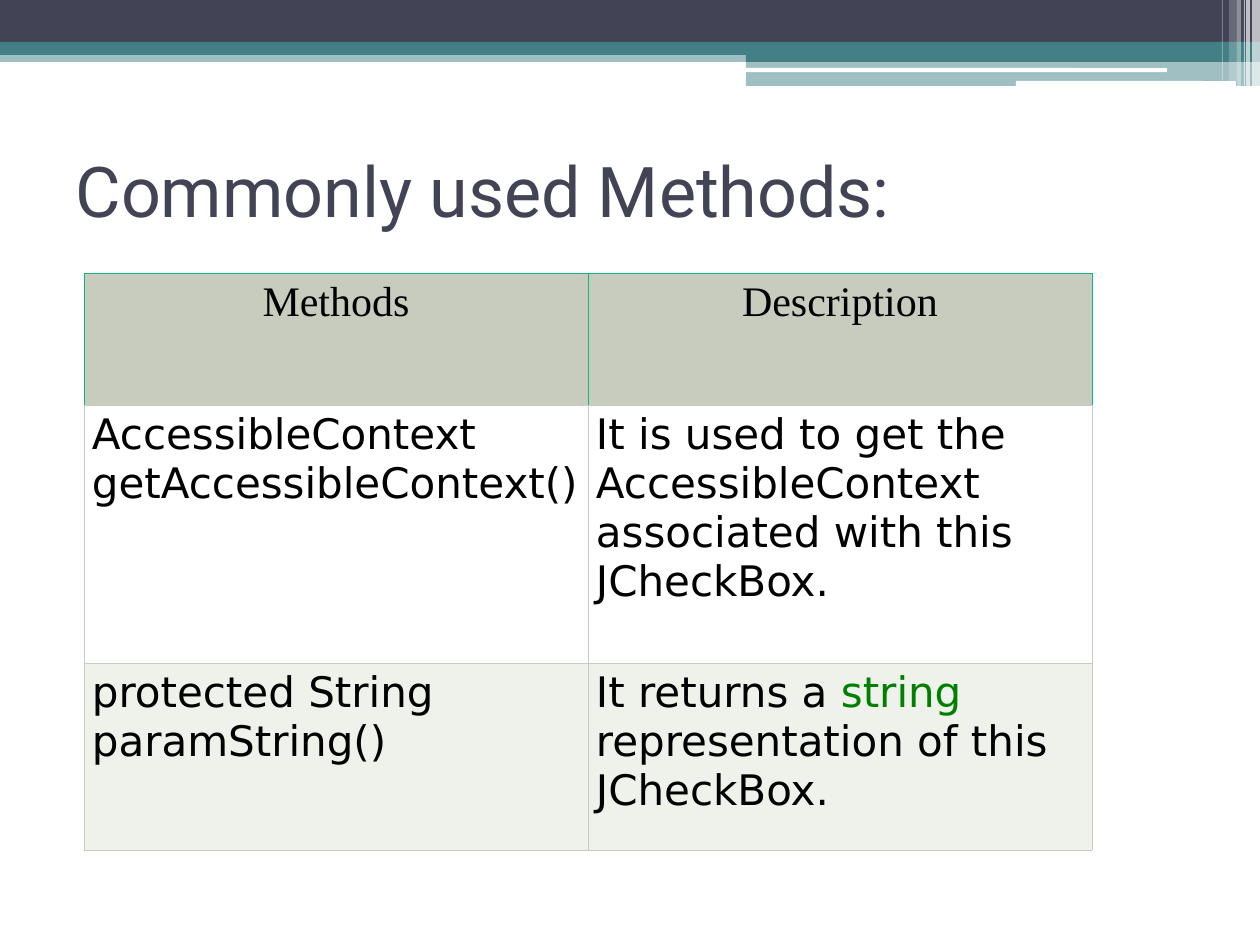
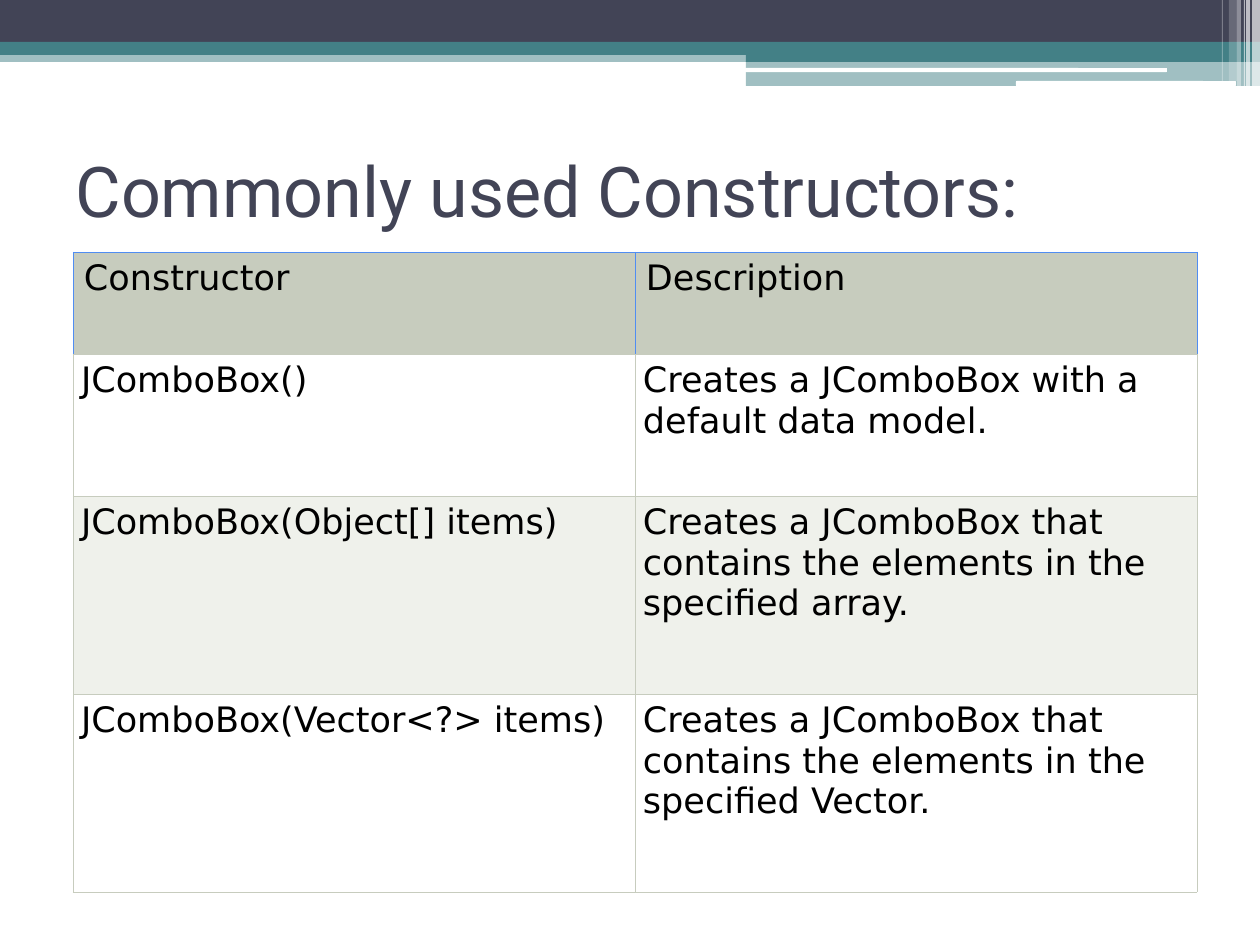
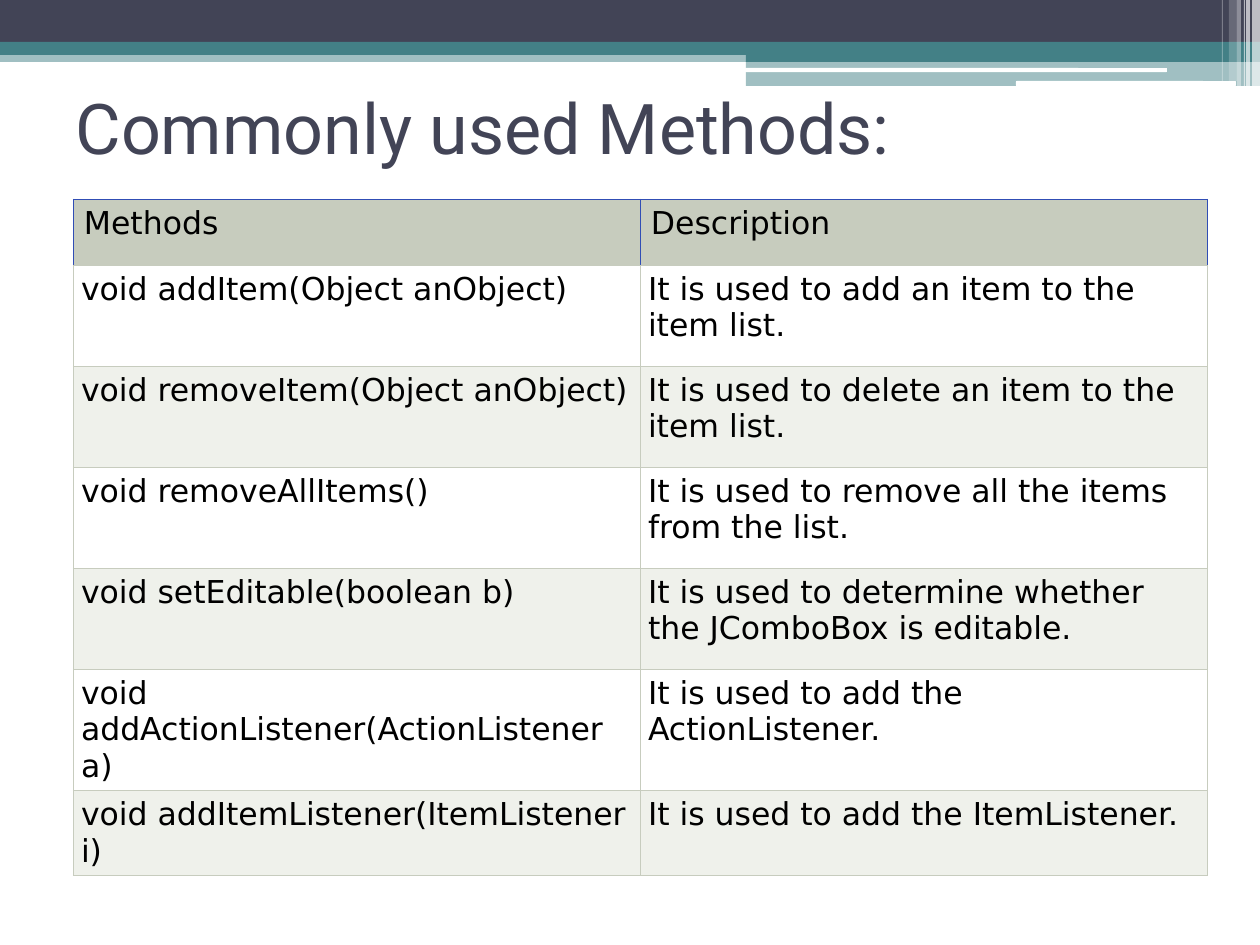
"""Build three slides of Swing constructor and method tables under one banded layout."""
from dataclasses import dataclass

from lxml.etree import SubElement
from pptx import Presentation
from pptx.dml.color import RGBColor
from pptx.enum.shapes import MSO_SHAPE
from pptx.enum.text import MSO_ANCHOR, MSO_AUTO_SIZE, PP_ALIGN
from pptx.oxml.ns import qn
from pptx.util import Emu, Pt


@dataclass(frozen=True)
class Theme:
    navy: str = "424456"
    teal: str = "438086"
    white: str = "FFFFFF"
    black: str = "000000"
    keyword: str = "008000"
    sage: str = "C7CCBE"
    pale_sage: str = "EFF1EB"
    title_font: str = "Roboto"
    body_font: str = "DejaVu Sans"
    serif_font: str = "Times New Roman"
    title_size: int = 40
    rule_width: float = 0.34


THEME = Theme()
PX = 914400 / 126


def px(*lengths):
    return [Emu(round(length * PX)) for length in lengths]


def add_run(paragraph, text, font_name, size, color):
    run = paragraph.add_run()
    run.text = text
    run.font.name = font_name
    run.font.size = Pt(size)
    run.font.bold = False
    run.font.color.rgb = RGBColor.from_string(color)


BANDS = [
    (0, 50, 1260, 12, THEME.teal, 50),
    (0, 0, 1260, 42, THEME.navy, 100),
    (0, 42, 1260, 13, THEME.teal, 100),
    (746, 49, 514, 13, THEME.teal, 100),
    (746, 61, 514, 25, THEME.teal, 50),
    (745, 68, 422, 4, THEME.white, 100),
    (1016, 81, 220, 5, THEME.white, 100),
    (1252, 0, 8, 86, THEME.white, 65),
    (1246, 0, 4, 86, THEME.white, 65),
    (1244, 0, 1, 86, THEME.white, 60),
    (1237, 0, 4, 86, THEME.white, 40),
    (1229, 0, 8, 81, THEME.white, 20),
    (1222, 0, 1, 81, THEME.white, 30),
]
ROUNDED_BANDS = (5, 6)

TOPICS = [
    {
        "title": "Commonly used Methods:",
        "title_top": 157,
        "origin": (84, 273),
        "column_width": 504,
        "row_heights": [132, 258, 187],
        "size": 24,
        "header_font": THEME.serif_font,
        "header_align": PP_ALIGN.CENTER,
        "header_rule": "10B77F",
        "rows": [
            ("Methods", "Description"),
            ("AccessibleContext getAccessibleContext()",
             "It is used to get the AccessibleContext associated with this JCheckBox."),
            ("protected String paramString()",
             [("It returns a ", THEME.black), ("string", THEME.keyword),
              (" representation of this JCheckBox.", THEME.black)]),
        ],
    },
    {
        "title": "Commonly used Constructors:",
        "title_top": 157,
        "origin": (73, 252),
        "column_width": 562,
        "row_heights": [102, 142, 198, 198],
        "size": 20,
        "header_font": THEME.body_font,
        "header_align": PP_ALIGN.LEFT,
        "header_rule": "508DF2",
        "rows": [
            ("Constructor", "Description"),
            ("JComboBox()", "Creates a JComboBox with a default data model."),
            ("JComboBox(Object[] items)",
             "Creates a JComboBox that contains the elements in the specified array."),
            ("JComboBox(Vector<?> items)",
             "Creates a JComboBox that contains the elements in the specified Vector."),
        ],
    },
    {
        "title": "Commonly used Methods:",
        "title_top": 94,
        "origin": (73, 199),
        "column_width": 567,
        "row_heights": [66] + [101] * 5 + [73],
        "size": 18,
        "header_font": THEME.body_font,
        "header_align": PP_ALIGN.LEFT,
        "header_rule": "304DB5",
        "rows": [
            ("Methods", "Description"),
            ("void addItem(Object anObject)", "It is used to add an item to the item list."),
            ("void removeItem(Object anObject)", "It is used to delete an item to the item list."),
            ("void removeAllItems()", "It is used to remove all the items from the list."),
            ("void setEditable(boolean b)",
             "It is used to determine whether the JComboBox is editable."),
            ("void addActionListener(ActionListener a)", "It is used to add the ActionListener."),
            ("void addItemListener(ItemListener i)", "It is used to add the ItemListener."),
        ],
    },
]

deck = Presentation()
deck.slide_width, deck.slide_height = px(1260, 945)
title_layout = deck.slide_layouts[5]
slides = [deck.slides.add_slide(title_layout) for _ in TOPICS]

layout_tree = title_layout.element.cSld.spTree
for index, (left, top, width, height, color, opacity) in enumerate(BANDS):
    outline = MSO_SHAPE.ROUNDED_RECTANGLE if index in ROUNDED_BANDS else MSO_SHAPE.RECTANGLE
    band = slides[0].shapes.add_shape(outline, *px(left, top, width, height))
    band.shadow.inherit = False
    band.line.fill.background()
    band.fill.solid()
    band.fill.fore_color.rgb = RGBColor.from_string(color)
    if opacity < 100:
        tint = band.element.spPr.find(qn("a:solidFill")).find(qn("a:srgbClr"))
        SubElement(tint, qn("a:alpha"), val=str(opacity * 1000))
    band.element.nvSpPr.cNvPr.set("id", str(101 + index))
    layout_tree.insert(2 + index, band.element)

for slide, topic in zip(slides, TOPICS):
    heading = slide.shapes.title
    heading.left, heading.top, heading.width, heading.height = px(63, topic["title_top"], 1134, 147)
    heading_frame = heading.text_frame
    heading_frame.word_wrap = True
    heading_frame.auto_size = MSO_AUTO_SIZE.NONE
    heading_frame.vertical_anchor = MSO_ANCHOR.MIDDLE
    heading_frame.margin_top, heading_frame.margin_bottom = px(6, 88)
    heading_line = heading_frame.paragraphs[0]
    heading_line.alignment = PP_ALIGN.LEFT
    add_run(heading_line, topic["title"], THEME.title_font, THEME.title_size, THEME.navy)

    heights = topic["row_heights"]
    reference = slide.shapes.add_table(
        len(heights), 2, *px(*topic["origin"], 2 * topic["column_width"], sum(heights))).table
    reference.first_row = False
    reference.horz_banding = False
    for column in reference.columns:
        column.width = px(topic["column_width"])[0]

    for row_index, (height, entries) in enumerate(zip(heights, topic["rows"])):
        reference.rows[row_index].height = px(height)[0]
        is_header = row_index == 0
        side_inset = 11 if is_header else 8
        font_name = topic["header_font"] if is_header else THEME.body_font
        if is_header:
            background = THEME.sage
        else:
            background = THEME.white if row_index % 2 else THEME.pale_sage

        for cell, entry in zip(reference.rows[row_index].cells, entries):
            cell.margin_left, cell.margin_top, cell.margin_right, cell.margin_bottom = px(
                side_inset, 6, side_inset, 6)
            cell_properties = cell._tc.get_or_add_tcPr()
            for side in ("lnL", "lnR", "lnT", "lnB"):
                rule_color = topic["header_rule"] if is_header and side != "lnB" else THEME.sage
                rule = SubElement(cell_properties, qn(f"a:{side}"), w=str(Pt(THEME.rule_width)))
                rule_fill = SubElement(rule, qn("a:solidFill"))
                SubElement(rule_fill, qn("a:srgbClr"), val=rule_color)
            cell.fill.solid()
            cell.fill.fore_color.rgb = RGBColor.from_string(background)
            line = cell.text_frame.paragraphs[0]
            line.alignment = topic["header_align"] if is_header else PP_ALIGN.LEFT
            pieces = [(entry, THEME.black)] if isinstance(entry, str) else entry
            for text, color in pieces:
                add_run(line, text, font_name, topic["size"], color)

deck.save("out.pptx")
